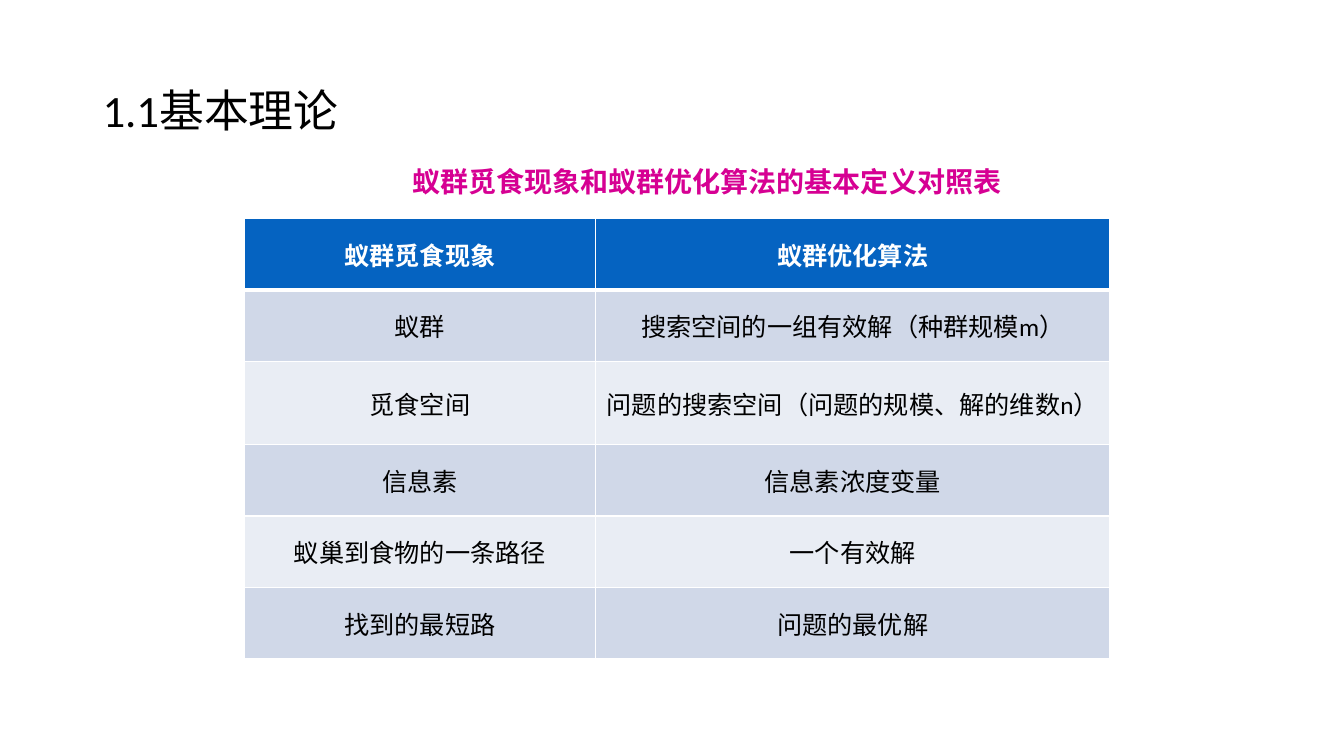
"""Build a slide comparing ant foraging with ant colony optimisation."""
from dataclasses import dataclass

from lxml.etree import SubElement
from pptx import Presentation
from pptx.dml.color import RGBColor
from pptx.enum.text import MSO_AUTO_SIZE as AutoSize, MSO_ANCHOR as Anchor, PP_ALIGN as Align
from pptx.oxml.ns import qn
from pptx.util import Cm, Pt


@dataclass(frozen=True)
class Theme:
    """Colours, fonts and type sizes of the slide."""
    ink: str = "000000"
    white: str = "FFFFFF"
    accent: str = "D60093"
    header: str = "0563C1"
    bands: tuple = ("D0D8E8", "E9EDF4")
    body_font: str = "Calibri"
    caption_font: str = "Montserrat"
    title_size: int = 32
    caption_size: int = 20
    cell_size: int = 18
    thin_rule: int = 1
    thick_rule: int = 3


THEME = Theme()
ROWS = [
    ("蚁群觅食现象", "蚁群优化算法"),
    ("蚁群", "搜索空间的一组有效解（种群规模m）"),
    ("觅食空间", "问题的搜索空间（问题的规模、解的维数n）"),
    ("信息素", "信息素浓度变量"),
    ("蚁巢到食物的一条路径", "一个有效解"),
    ("找到的最短路", "问题的最优解"),
]
COLUMN_WIDTHS = (Cm(8.86), Cm(12.96))
ROW_HEIGHT = Cm(1.8)


def apply(target, values):
    """Set every attribute named in a dict of format values."""
    for name, value in values.items():
        setattr(target, name, value)


def write(frame, text, size, color, font=THEME.body_font, bold=False, align=Align.CENTER):
    """Write one formatted paragraph into a text frame."""
    para = frame.paragraphs[0]
    para.alignment = align
    span = para.add_run()
    span.text = text
    apply(span.font, {"name": font, "size": Pt(size), "bold": bold})
    span.font.color.rgb = RGBColor.from_string(color)
    return para


def add_title(page, text):
    """Place and fill the title placeholder."""
    title = page.shapes.title
    apply(title, {"left": Cm(2.33), "top": Cm(1.01), "width": Cm(29.21), "height": Cm(3.68)})
    frame = title.text_frame
    apply(frame, {"vertical_anchor": Anchor.MIDDLE, "auto_size": AutoSize.NONE})
    para = write(frame, text, THEME.title_size, THEME.ink, align=Align.LEFT)
    para.line_spacing = 0.9


def add_caption(page, text):
    """Add the unwrapped caption above the table."""
    box = page.shapes.add_textbox(Cm(10.03), Cm(4.01), Cm(15.57), Cm(1.11))
    apply(box.text_frame, {"word_wrap": False, "auto_size": AutoSize.SHAPE_TO_FIT_TEXT})
    write(box.text_frame, text, THEME.caption_size, THEME.accent, THEME.caption_font, bold=True)


def set_borders(cell, widths):
    """Draw white borders, given a width in points for each side."""
    props = cell._tc.get_or_add_tcPr()
    for side, width in widths.items():
        line = SubElement(props, qn(f"a:ln{side}"), w=str(Pt(width)))
        fill = SubElement(line, qn("a:solidFill"))
        SubElement(fill, qn("a:srgbClr"), val=THEME.white)


def style_cell(cell, text, row):
    """Border, fill and write one cell according to its row."""
    is_header = row == 0
    thin, thick = THEME.thin_rule, THEME.thick_rule
    set_borders(cell, {"L": thin, "R": thin,
                       "T": thick if row == 1 else thin,
                       "B": thick if is_header else thin})
    cell.vertical_anchor = Anchor.MIDDLE
    cell.fill.solid()
    fill = THEME.header if is_header else THEME.bands[(row - 1) % 2]
    cell.fill.fore_color.rgb = RGBColor.from_string(fill)
    color = THEME.white if is_header else THEME.ink
    write(cell.text_frame, text, THEME.cell_size, color, bold=is_header)


def add_comparison(page, rows):
    """Add the comparison table."""
    table = page.shapes.add_table(len(rows), len(COLUMN_WIDTHS), Cm(6.15), Cm(5.51),
                                  sum(COLUMN_WIDTHS), ROW_HEIGHT * len(rows)).table
    for column, width in zip(table.columns, COLUMN_WIDTHS):
        column.width = width
    for row, texts in enumerate(rows):
        table.rows[row].height = ROW_HEIGHT
        for column, text in enumerate(texts):
            style_cell(table.cell(row, column), text, row)


def main():
    """Build and save the deck."""
    deck = Presentation()
    apply(deck, {"slide_width": Cm(33.87), "slide_height": Cm(19.05)})
    page = deck.slides.add_slide(deck.slide_layouts.get_by_name("Title Only"))
    add_title(page, "1.1基本理论")
    add_comparison(page, ROWS)
    add_caption(page, "蚁群觅食现象和蚁群优化算法的基本定义对照表")
    deck.save("out.pptx")


if __name__ == "__main__":
    main()
